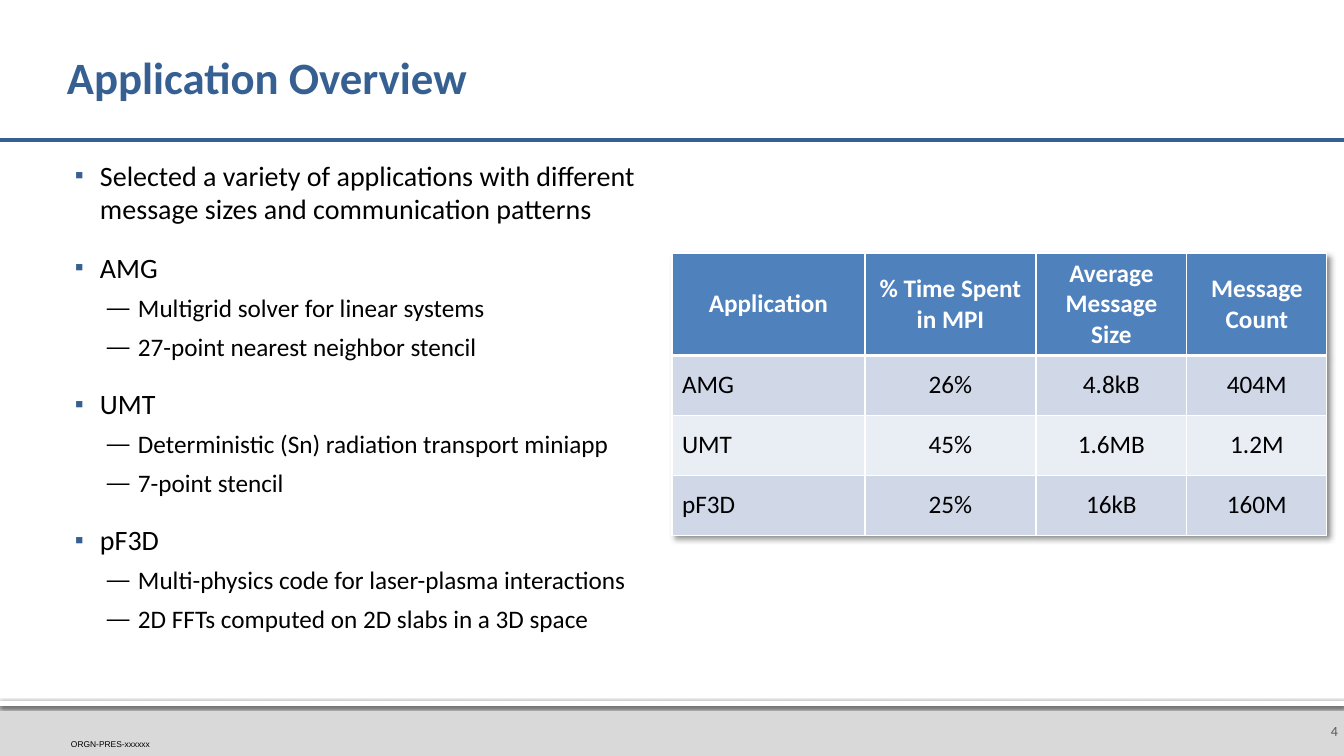
from lxml import etree
from pptx import Presentation, util as u
from pptx.dml.color import RGBColor
from pptx.enum import shapes, text
from pptx.oxml import parse_xml
from pptx.oxml.ns import nsdecls, qn

COLORS = {
    "white": "FFFFFF", "black": "000000", "navy": "376092", "footer": "D9D9D9",
    "number": "595959", "header": "4F81BD", "odd": "D0D8E8", "even": "E9EDF4",
}
TOPICS = [
    ("Selected a variety of applications with different message sizes and communication patterns", []),
    ("AMG", ["Multigrid solver for linear systems", "27-point nearest neighbor stencil"]),
    ("UMT", ["Deterministic (Sn) radiation transport miniapp", "7-point stencil"]),
    ("pF3D", ["Multi-physics code for laser-plasma interactions",
              "2D FFTs computed on 2D slabs in a 3D space"]),
]
MESSAGE_STATS = [
    ("Application", "% Time Spent in MPI", "Average Message Size", "Message Count"),
    ("AMG", "26%", "4.8kB", "404M"),
    ("UMT", "45%", "1.6MB", "1.2M"),
    ("pF3D", "25%", "16kB", "160M"),
]
COLUMN_WIDTHS = [193, 171, 151, 140]
ROW_HEIGHTS = [101, 60, 60, 60]


def px(length):
    return u.Emu(round(length * 914400 / 100.8))


def rgb(name):
    return RGBColor.from_string(COLORS[name])


def style(paragraph, size, color, bold=False, font="Calibri", align=None):
    paragraph.font.name = font
    paragraph.font.size = u.Pt(size)
    paragraph.font.bold = bold
    paragraph.font.color.rgb = rgb(color)
    paragraph.alignment = align


def set_frame(frame, anchor, left=0, top=0, right=0, bottom=0):
    frame.word_wrap = True
    frame.auto_size = text.MSO_AUTO_SIZE.NONE
    frame.vertical_anchor = anchor
    frame.margin_left, frame.margin_top = px(left), px(top)
    frame.margin_right, frame.margin_bottom = px(right), px(bottom)


def shadow_xml(blur, distance, angle, alpha):
    return parse_xml(
        f'<a:effectLst {nsdecls("a")}><a:outerShdw blurRad="{u.Pt(blur)}" dist="{u.Pt(distance)}" '
        f'dir="{angle * 60000}" algn="tl" rotWithShape="0"><a:srgbClr val="{COLORS["black"]}">'
        f'<a:alpha val="{alpha * 1000}"/></a:srgbClr></a:outerShdw></a:effectLst>')


def add_band(slide, top, height, color):
    band = slide.shapes.add_shape(shapes.MSO_SHAPE.RECTANGLE, 0, px(top), px(1344), px(height))
    band.shadow.inherit = False
    band.fill.solid()
    band.fill.fore_color.rgb = rgb(color)
    band.line.fill.background()
    return band


def add_footer(slide):
    add_band(slide, 701, 55, "footer")
    edge = add_band(slide, 701, 5, "white")
    properties = edge._element.spPr
    properties.replace(properties.find(qn("a:effectLst")), shadow_xml(2.5, 0.8, 90, 60))

    number = slide.shapes.add_textbox(px(1297), px(706), px(46), px(50)).text_frame
    set_frame(number, text.MSO_ANCHOR.MIDDLE, 10, 5, 5, 5)
    number.text = "4"
    style(number.paragraphs[0], 10, "number", align=text.PP_ALIGN.RIGHT)

    release = slide.shapes.add_textbox(px(71), px(739), px(128), px(10)).text_frame
    set_frame(release, text.MSO_ANCHOR.BOTTOM)
    release.text = "ORGN-PRES-xxxxxx"
    style(release.paragraphs[0], 6, "black", font="Arial")


def add_title(slide):
    rule = slide.shapes.add_connector(shapes.MSO_CONNECTOR.STRAIGHT, 0, px(140), px(1344), px(140))
    rule.line.color.rgb = rgb("navy")
    rule.line.width = u.Pt(3)
    etree.SubElement(rule._element.spPr, qn("a:effectLst"))

    title = slide.shapes.title
    title.left, title.top, title.width, title.height = px(67), px(24), px(1210), px(111)
    set_frame(title.text_frame, text.MSO_ANCHOR.MIDDLE, 0, 5, 5, 5)
    title.text_frame.text = "Application Overview"
    heading = title.text_frame.paragraphs[0]
    heading.line_spacing = 0.9
    style(heading, 32, "navy", bold=True, align=text.PP_ALIGN.LEFT)


def set_bullet(paragraph, symbol, color, indent, hanging):
    properties = paragraph._p.get_or_add_pPr()
    properties.set("marL", str(px(indent)))
    properties.set("indent", str(-px(hanging)))
    bullet = parse_xml(
        f'<a:pPr {nsdecls("a")}><a:buClr><a:srgbClr val="{COLORS[color]}"/></a:buClr>'
        f'<a:buSzPct val="90000"/><a:buFont typeface="Arial"/><a:buChar char="{symbol}"/></a:pPr>')
    position = properties.index(properties.find(qn("a:defRPr")))
    properties[position:position] = list(bullet)


def add_topics(slide):
    frame = slide.shapes.add_textbox(px(69), px(158), px(584), px(538)).text_frame
    set_frame(frame, text.MSO_ANCHOR.TOP)
    lines = []
    for topic, details in TOPICS:
        lines += [(topic, 0)] + [(detail, 1) for detail in details]
    for index, (line, level) in enumerate(lines):
        paragraph = frame.add_paragraph() if index else frame.paragraphs[0]
        paragraph.text = line
        paragraph.level = level
        paragraph.space_before = u.Pt(0 if level else 12)
        paragraph.space_after = u.Pt(6)
        style(paragraph, 18 if level else 20, "black")
        if level:
            set_bullet(paragraph, "—", "black", 69, 31)
        else:
            set_bullet(paragraph, "▪", "navy", 31, 25)


def set_borders(cell, bottom):
    properties = cell._tc.get_or_add_tcPr()
    for position, (side, width) in enumerate([("L", 1), ("R", 1), ("T", 1), ("B", bottom)]):
        properties.insert(position, parse_xml(
            f'<a:ln{side} {nsdecls("a")} w="{u.Pt(width)}"><a:solidFill>'
            f'<a:srgbClr val="{COLORS["white"]}"/></a:solidFill></a:ln{side}>'))


def add_stats_table(slide):
    table = slide.shapes.add_table(len(MESSAGE_STATS), len(COLUMN_WIDTHS), px(672), px(253),
                                   px(sum(COLUMN_WIDTHS)), px(sum(ROW_HEIGHTS))).table
    table._tbl.tblPr.insert(0, shadow_xml(4, 3, 45, 43))
    for column, width in zip(table.columns, COLUMN_WIDTHS):
        column.width = px(width)
    for r, (row, height) in enumerate(zip(MESSAGE_STATS, ROW_HEIGHTS)):
        table.rows[r].height = px(height)
        is_header = r == 0
        for c, value in enumerate(row):
            cell = table.cell(r, c)
            cell.text = value
            cell.vertical_anchor = text.MSO_ANCHOR.MIDDLE
            cell.fill.solid()
            cell.fill.fore_color.rgb = rgb("header" if is_header else "odd" if r % 2 else "even")
            centred = is_header or c > 0
            style(cell.text_frame.paragraphs[0], 18, "white" if is_header else "black", is_header,
                  align=text.PP_ALIGN.CENTER if centred else text.PP_ALIGN.LEFT)
            set_borders(cell, 3 if is_header else 1)


def main():
    deck = Presentation()
    deck.slide_width, deck.slide_height = px(1344), px(756)
    slide = deck.slides.add_slide(deck.slide_layouts[5])
    add_footer(slide)
    add_title(slide)
    add_topics(slide)
    add_stats_table(slide)
    deck.save("out.pptx")


if __name__ == "__main__":
    main()
